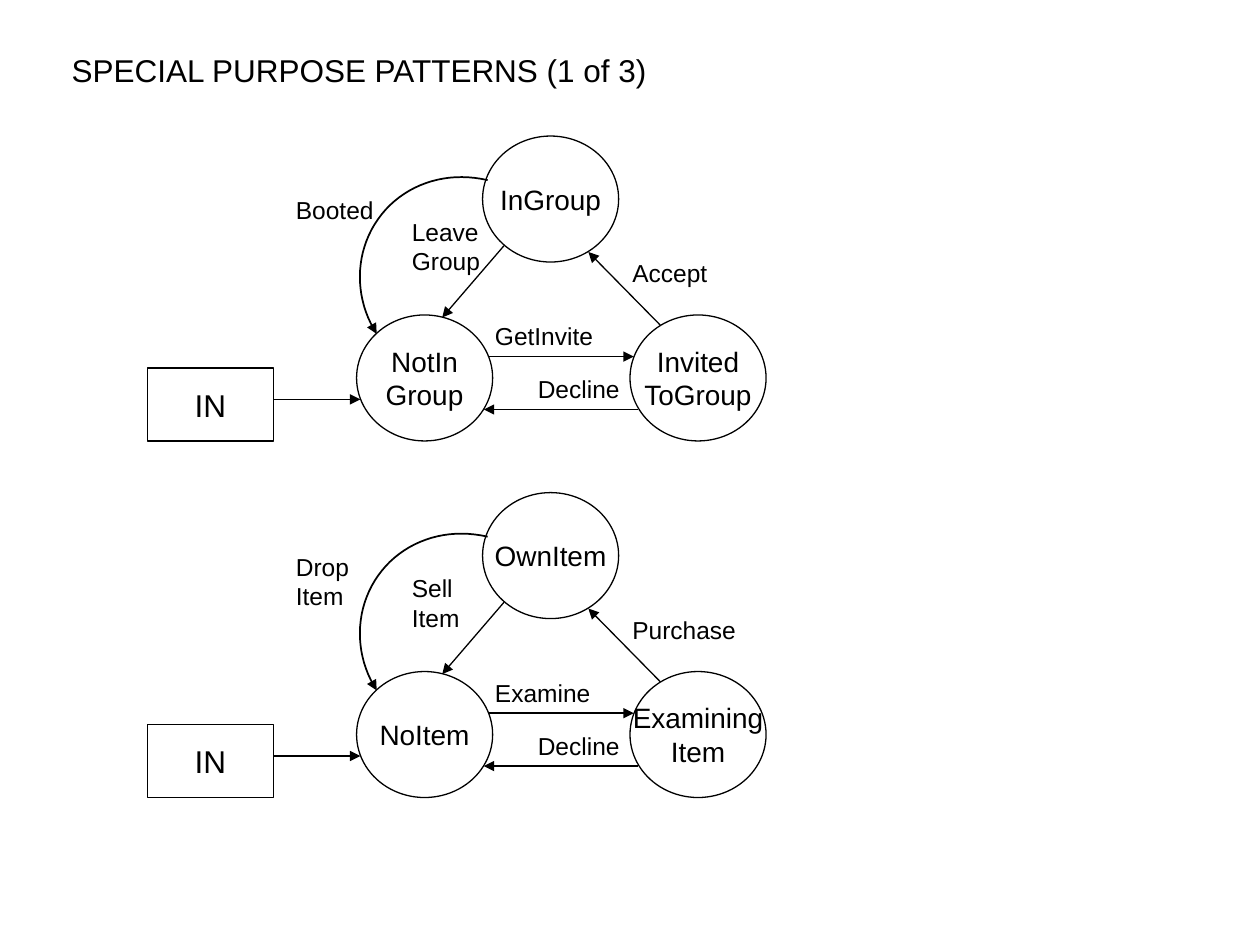
"""Build a slide with two state diagrams of special purpose patterns."""
from lxml import etree
from pptx import Presentation
from pptx.dml.color import RGBColor
from pptx.enum import shapes, text
from pptx.oxml.ns import qn
from pptx.util import Inches, Pt

BLACK = RGBColor(0, 0, 0)
STEP = 2.83

LABEL_SPOTS = [(3.83, 2.5), (4.17, 2.92), (4.92, 2), (3.17, 1.67)]
STATE_SPOTS = [(2.83, 2.5), (5, 2.5), (3.83, 1.08)]
ARROWS = [
    (3.88, 2.83, 5.03, 2.83),
    (5.06, 3.25, 3.84, 3.25),
    (2.17, 3.17, 2.86, 3.17),
    (4, 1.95, 3.51, 2.52),
    (5.24, 2.58, 4.67, 2),
]
CURVES = [
    [(3.87, 1.43), (3.53, 1.35), (3.19, 1.47), (3, 1.74)],
    [(3, 1.74), (2.81, 2.01), (2.81, 2.37), (2.99, 2.65)],
]
DIAGRAMS = [
    (["NotIn\nGroup", "Invited\nToGroup", "InGroup"],
     [("GetInvite", 1), ("Decline", 0.87), ("Accept", 0.84), ("Leave\nGroup", 0.76)],
     "Booted"),
    (["NoItem", "Examining\nItem", "OwnItem"],
     [("Examine", 0.98), ("Decline", 0.87), ("Purchase", 1.07), ("Sell\nItem", 0.6)],
     "Drop\nItem"),
]

prs = Presentation()
prs.slide_width, prs.slide_height = Inches(10), Inches(7.5)
s = prs.slides.add_slide(prs.slide_layouts[6])


def add_text(words, x, y, w, h, kind=None, size=14, wrap=False):
    box = [Inches(v) for v in (x, y, w, h)]
    if kind is None:
        sp = s.shapes.add_textbox(*box)
    else:
        sp = s.shapes.add_shape(kind, *box)
        sp.shadow.inherit = False
        sp.fill.background()
        sp.line.color.rgb = BLACK
        sp.line.width = Pt(0.75)
    tf = sp.text_frame
    tf.text = words
    tf.word_wrap = wrap
    if kind is None:
        tf.auto_size = text.MSO_AUTO_SIZE.SHAPE_TO_FIT_TEXT
    else:
        tf.vertical_anchor = text.MSO_ANCHOR.MIDDLE
    for p in tf.paragraphs:
        p.alignment = text.PP_ALIGN.LEFT if kind is None else text.PP_ALIGN.CENTER
        for r in p.runs:
            r.font.name = "Arial"
            r.font.size = Pt(size)
            r.font.color.rgb = BLACK


def add_arrowhead(sp, width):
    sp.line.color.rgb = BLACK
    sp.line.width = Pt(width)
    etree.SubElement(sp.line._get_or_add_ln(), qn("a:tailEnd"), type="triangle")
    if sp._element.spPr.find(qn("a:effectLst")) is None:
        etree.SubElement(sp._element.spPr, qn("a:effectLst"))


add_text("SPECIAL PURPOSE PATTERNS (1 of 3)", 0.47, 0.36, 4.83, 0.4, size=18)

for i, (states, labels, curve_label) in enumerate(DIAGRAMS):
    dy = i * STEP
    for name, (x, y) in zip(states, STATE_SPOTS):
        add_text(name, x, y + dy, 1.08, 1, kind=shapes.MSO_SHAPE.OVAL, size=16)
    add_text("IN", 1.17, 2.92 + dy, 1, 0.58, kind=shapes.MSO_SHAPE.RECTANGLE, size=18)

    for x1, y1, x2, y2 in ARROWS:
        line = s.shapes.add_connector(
            shapes.MSO_CONNECTOR.STRAIGHT,
            Inches(x1), Inches(y1 + dy), Inches(x2), Inches(y2 + dy))
        add_arrowhead(line, 0.75)

    points = []
    for a, b, c, d in CURVES:
        for n in range(21):
            t = n / 20
            x, y = [(1 - t) ** 3 * a[k] + 3 * (1 - t) ** 2 * t * b[k]
                    + 3 * (1 - t) * t ** 2 * c[k] + t ** 3 * d[k] for k in (0, 1)]
            points.append((Inches(x), Inches(y + dy)))
    fb = s.shapes.build_freeform(*points[0])
    fb.add_line_segments(points[1:], close=False)
    curve = fb.convert_to_shape()
    curve.shadow.inherit = False
    curve.fill.background()
    add_arrowhead(curve, 1)

    for (words, w), (x, y) in zip(labels, LABEL_SPOTS):
        add_text(words, x, y + dy, w, 0.57 if "\n" in words else 0.34)
    add_text(curve_label, 2.25, 1.5 + dy, 0.83,
             0.57 if "\n" in curve_label else 0.34, wrap=True)

prs.save("out.pptx")
